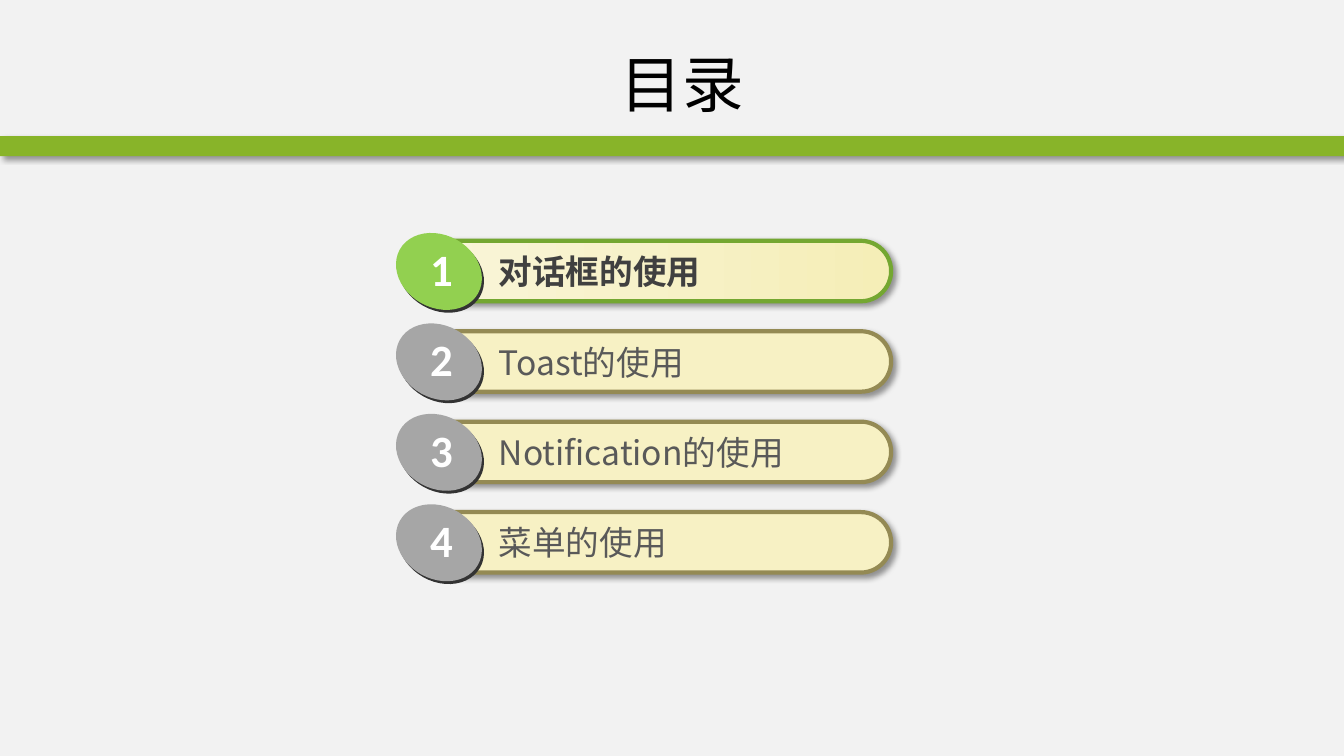
from lxml.etree import SubElement
from pptx import Presentation
from pptx.dml.color import RGBColor
from pptx.enum.shapes import MSO_SHAPE as Shape
from pptx.enum.text import MSO_ANCHOR as Anchor, MSO_AUTO_SIZE as AutoSize, PP_ALIGN as Align
from pptx.oxml.ns import qn
from pptx.util import Pt

TITLE = "目录"
TOPICS = ["对话框的使用", "Toast的使用", "Notification的使用", "菜单的使用"]
CURRENT = 0


class Theme:
    page = "F2F2F2"
    band = "88B429"
    shade = "333333"
    shadow = "000000"
    cjk = "Noto Sans CJK SC"
    title = dict(name=cjk, size=Pt(44), bold=False, color="000000")
    number = dict(name="Calibri", size=Pt(32), bold=True, color="FFFFFF")
    active = dict(
        fills=("F9F5D9", "F5EEB7"), line="74A731", disc="92D050",
        font=dict(name=cjk, size=Pt(24), bold=True, color="404040"),
    )
    idle = dict(
        fills=("F7F1C4",), line="948A54", disc="A6A6A6",
        font=dict(name=cjk, size=Pt(24), bold=False, color="595959"),
    )


WIDTH, HEIGHT = 960, 540
FIRST_TOP, PITCH = 172, 64.6
PILL = (297.4, 0, 339.1, 43.2)
LABEL = (349.2, 3.8, 270, 36.5)
DISC_SHADE = (283, -2, 64.1, 51.8)
DISC = (281.5, -4, 64.1, 51.8)
NUMBER = (300.2, -2.9, 31, 46.1)
TILT = 29.3


def paint(fill, colors):
    if len(colors) == 1:
        fill.solid()
        fill.fore_color.rgb = RGBColor.from_string(colors[0])
        return
    fill.gradient()
    fill.gradient_angle = 0
    for stop, color in zip(fill.gradient_stops, colors):
        stop.color.rgb = RGBColor.from_string(color)


def write(frame, text, style):
    para = frame.paragraphs[0]
    span = para.add_run()
    span.text = text
    for key, value in style.items():
        if key == "color":
            span.font.color.rgb = RGBColor.from_string(value)
        else:
            setattr(span.font, key, value)
    east = SubElement(span.font._element, qn("a:ea"))
    east.set("typeface", style["name"])
    return para


def add_figure(parent, kind, place, colors, line=None):
    figure = parent.add_shape(kind, *map(Pt, place))
    figure.shadow.inherit = False
    paint(figure.fill, colors)
    if line:
        figure.line.color.rgb = RGBColor.from_string(line)
        figure.line.width = Pt(3)
    else:
        figure.line.fill.background()
    return figure


def cast_shadow(figure):
    effects = figure._element.spPr.find(qn("a:effectLst"))
    shadow = SubElement(effects, qn("a:outerShdw"))
    values = dict(blurRad=Pt(4), dist=Pt(3), dir=45 * 60000, algn="tl", rotWithShape=0)
    for key, value in values.items():
        shadow.set(key, str(int(value)) if key != "algn" else value)
    color = SubElement(shadow, qn("a:srgbClr"), val=Theme.shadow)
    SubElement(color, qn("a:alpha"), val="40000")


def add_text(parent, place, text, style, wrap):
    box = parent.add_textbox(*map(Pt, place))
    box.text_frame.word_wrap = wrap
    box.text_frame.auto_size = AutoSize.SHAPE_TO_FIT_TEXT
    write(box.text_frame, text, style)


def add_topic(page, index, topic):
    look = Theme.active if index == CURRENT else Theme.idle
    top = FIRST_TOP + index * PITCH
    group = page.shapes.add_group_shape().shapes

    def down(place):
        left, offset, width, height = place
        return left, top + offset, width, height

    pill = add_figure(group, Shape.ROUNDED_RECTANGLE, down(PILL), look["fills"], look["line"])
    pill.adjustments[0] = 0.5
    cast_shadow(pill)
    add_text(group, down(LABEL), topic, look["font"], True)
    for place, color in ((DISC_SHADE, Theme.shade), (DISC, look["disc"])):
        add_figure(group, Shape.OVAL, down(place), (color,)).rotation = TILT
    add_text(group, down(NUMBER), str(index + 1), Theme.number, False)


def main():
    deck = Presentation()
    deck.slide_width, deck.slide_height = Pt(WIDTH), Pt(HEIGHT)
    page = deck.slides.add_slide(deck.slide_layouts[5])
    paint(page.background.fill, (Theme.page,))

    band = add_figure(page.shapes, Shape.RECTANGLE, (0, 97.2, WIDTH, 14.4), (Theme.band,))
    cast_shadow(band)

    title = page.shapes.title
    title.left, title.top, title.width, title.height = map(Pt, (100, 21.6, 774.7, 75.6))
    title.text_frame.vertical_anchor = Anchor.MIDDLE
    write(title.text_frame, TITLE, Theme.title).alignment = Align.CENTER

    for index, topic in enumerate(TOPICS):
        add_topic(page, index, topic)
    deck.save("out.pptx")


if __name__ == "__main__":
    main()
